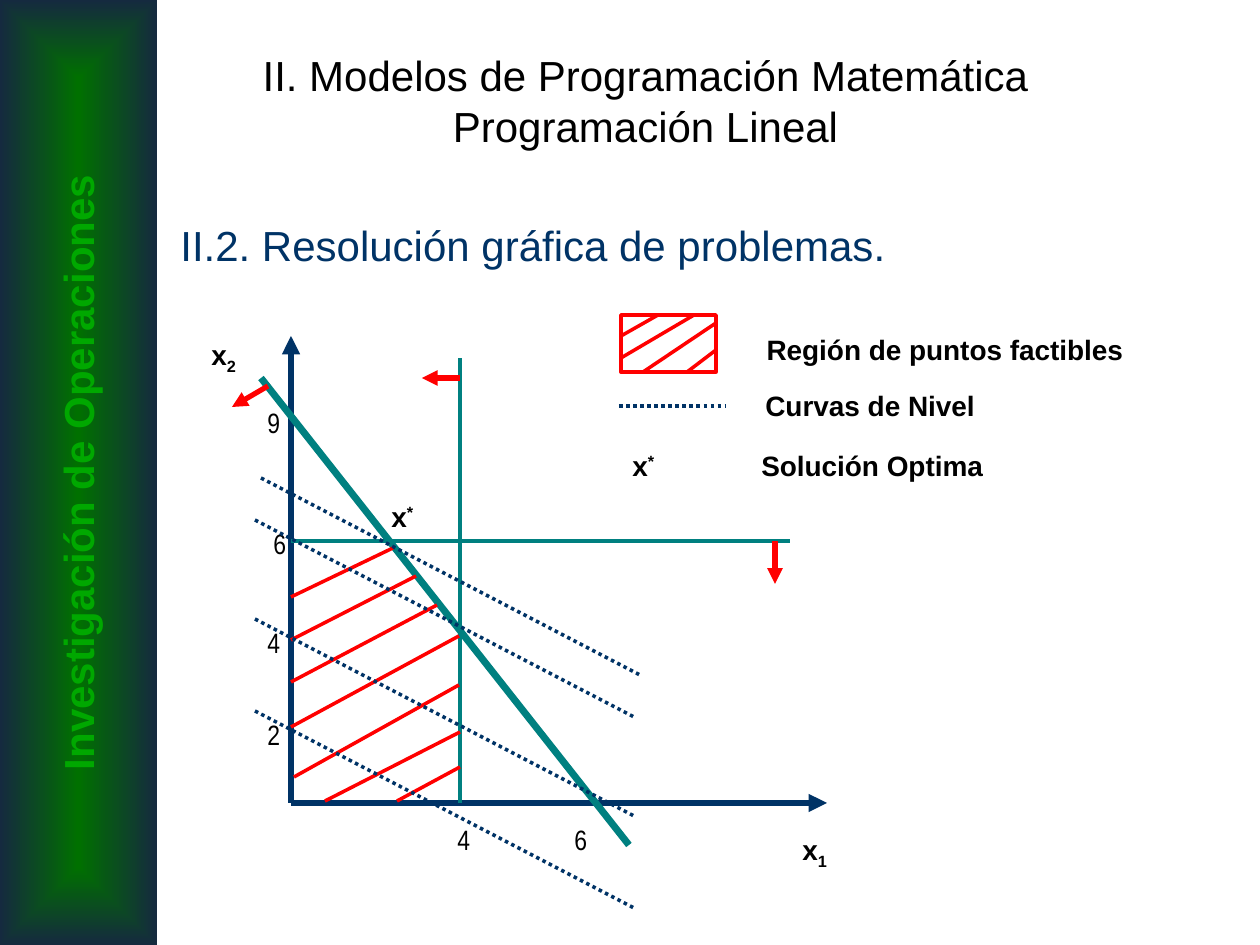
from lxml import etree
from pptx import Presentation
from pptx import util as u
from pptx.dml.color import RGBColor
from pptx.enum import dml, shapes, text
from pptx.oxml.ns import qn

PX_PER_INCH = 126
BLACK, NAVY, TEAL, RED = "000000", "003366", "008080", "FF0000"
GREEN, DARK_GREEN, MIDNIGHT = "00A800", "007000", "152A3F"
CENTER = text.PP_ALIGN.CENTER

HATCHING = [
    (291, 597, 393, 548), (291, 640, 416, 576), (291, 682, 437, 605),
    (291, 727, 459, 636), (294, 777, 459, 685), (325, 801, 460, 732),
    (397, 801, 460, 767),
]
LEGEND_HATCHING = [
    (621, 336, 658, 315), (621, 358, 694, 315),
    (643, 372, 716, 323), (687, 372, 716, 350),
]
LEVEL_CURVE_STARTS = [(261, 478), (255, 520), (255, 619), (255, 711)]
TICK_LABELS = [("9", 255, 399), ("6", 261, 520), ("4", 255, 619),
               ("2", 255, 711), ("4", 445, 816), ("6", 562, 816)]


def px(n):
    return u.Emu(round(n * u.Inches(1) / PX_PER_INCH))


def color(value):
    return RGBColor.from_string(value)


def add_line(slide, ends, stroke, width, dash=None, arrow=False):
    line = slide.shapes.add_connector(
        shapes.MSO_CONNECTOR.STRAIGHT, *[px(n) for n in ends])
    line.line.color.rgb = color(stroke)
    line.line.width = u.Pt(width)
    if dash:
        line.line.dash_style = dash
    if arrow:
        etree.SubElement(line.line._get_or_add_ln(), qn("a:tailEnd"), type="triangle")
    etree.SubElement(line._element.spPr, qn("a:effectLst"))


def add_text(slide, box, lines, size=16, fill=BLACK, bold=True, font="Arial",
             align=None, anchor=text.MSO_ANCHOR.TOP, tab=None):
    """Each line is a list of (wording, baseline percent) runs."""
    label = slide.shapes.add_textbox(*[px(n) for n in box])
    frame = label.text_frame
    frame.word_wrap = True
    frame.vertical_anchor = anchor
    paragraph = frame.paragraphs[0]
    paragraph.alignment = align
    if tab:
        tabs = etree.SubElement(paragraph._p.get_or_add_pPr(), qn("a:tabLst"))
        etree.SubElement(tabs, qn("a:tab"), pos=str(px(tab)), algn="l")
    for number, runs in enumerate(lines):
        if number:
            paragraph.add_line_break()
        for wording, baseline in runs:
            run = paragraph.add_run()
            run.text = wording
            run.font.name = font
            run.font.size = u.Pt(size)
            run.font.bold = bold
            run.font.color.rgb = color(fill)
            if baseline:
                run.font._element.set("baseline", str(baseline * 1000))
    return label


def add_rectangle(slide, box):
    rectangle = slide.shapes.add_shape(
        shapes.MSO_SHAPE.RECTANGLE, *[px(n) for n in box])
    rectangle.shadow.inherit = False
    return rectangle


def add_side_band(slide):
    band = add_rectangle(slide, (0, 0, 157, 945))
    band.line.fill.background()
    band.fill.gradient()
    for stop, shade in zip(band.fill.gradient_stops, (DARK_GREEN, MIDNIGHT)):
        stop.color.rgb = color(shade)
    gradient = band._element.spPr.find(qn("a:gradFill"))
    gradient.remove(gradient.find(qn("a:lin")))
    center = etree.SubElement(gradient, qn("a:path"), path="rect")
    etree.SubElement(center, qn("a:fillToRect"),
                     dict.fromkeys("ltrb", "50000"))
    course = add_text(slide, (-395, 441, 945, 63),
                      [[("Investigación de Operaciones", 0)]],
                      size=24, fill=GREEN, align=CENTER)
    course.rotation = 270


def add_headings(slide):
    add_text(slide, (168, 21, 955, 158),
             [[("II. Modelos de Programación Matemática", 0)],
              [("Programación Lineal", 0)]],
             size=24, bold=False, align=CENTER, anchor=text.MSO_ANCHOR.MIDDLE)
    add_text(slide, (168, 213, 998, 690),
             [[("II.2. Resolución gráfica de problemas.", 0)]],
             size=24, fill=NAVY, bold=False)


def add_graph(slide):
    for axis in ((291, 803, 827, 803), (291, 803, 291, 336)):
        add_line(slide, axis, NAVY, 3.5, arrow=True)
    for wording, left, top in TICK_LABELS:
        add_text(slide, (left, top, 37, 47), [[(wording, 0)]],
                 bold=False, font="Arial Narrow")
    add_line(slide, (291, 541, 790, 541), TEAL, 2.5)
    add_line(slide, (460, 803, 460, 358), TEAL, 2.5)
    add_line(slide, (261, 378, 629, 845), TEAL, 4)
    for side in ((775, 541, 775, 584), (460, 378, 422, 378), (268, 386, 232, 407)):
        add_line(slide, side, RED, 3, arrow=True)
    for stroke in HATCHING:
        add_line(slide, stroke, RED, 2)
    for x, y in LEVEL_CURVE_STARTS:
        add_line(slide, (x, y, x + 381, y + 198), NAVY, 2,
                 dash=dml.MSO_LINE.ROUND_DOT)
    add_text(slide, (199, 331, 62, 52), [[("x", 0), ("2", -25)]])
    add_text(slide, (790, 826, 72, 52), [[("x", 0), ("1", -25)]])
    add_text(slide, (379, 493, 52, 47), [[("x", 0), ("*", 30)]])


def add_legend(slide):
    region = add_rectangle(slide, (621, 315, 95, 57))
    region.fill.background()
    region.line.color.rgb = color(RED)
    region.line.width = u.Pt(2)
    for stroke in LEGEND_HATCHING:
        add_line(slide, stroke, RED, 2)
    add_line(slide, (619, 406, 726, 406), NAVY, 2, dash=dml.MSO_LINE.ROUND_DOT)
    add_text(slide, (735, 326, 420, 47), [[("Región de puntos factibles", 0)]],
             align=CENTER)
    add_text(slide, (753, 382, 276, 47), [[("Curvas de Nivel", 0)]])
    add_text(slide, (620, 442, 431, 47),
             [[("x", 0), ("*", 30), ("\tSolución Optima", 0)]], tab=129)


def main():
    deck = Presentation()
    deck.slide_width, deck.slide_height = px(1260), px(945)
    slide = deck.slides.add_slide(deck.slide_layouts[6])
    add_side_band(slide)
    add_headings(slide)
    add_graph(slide)
    add_legend(slide)
    deck.save("out.pptx")


if __name__ == "__main__":
    main()
